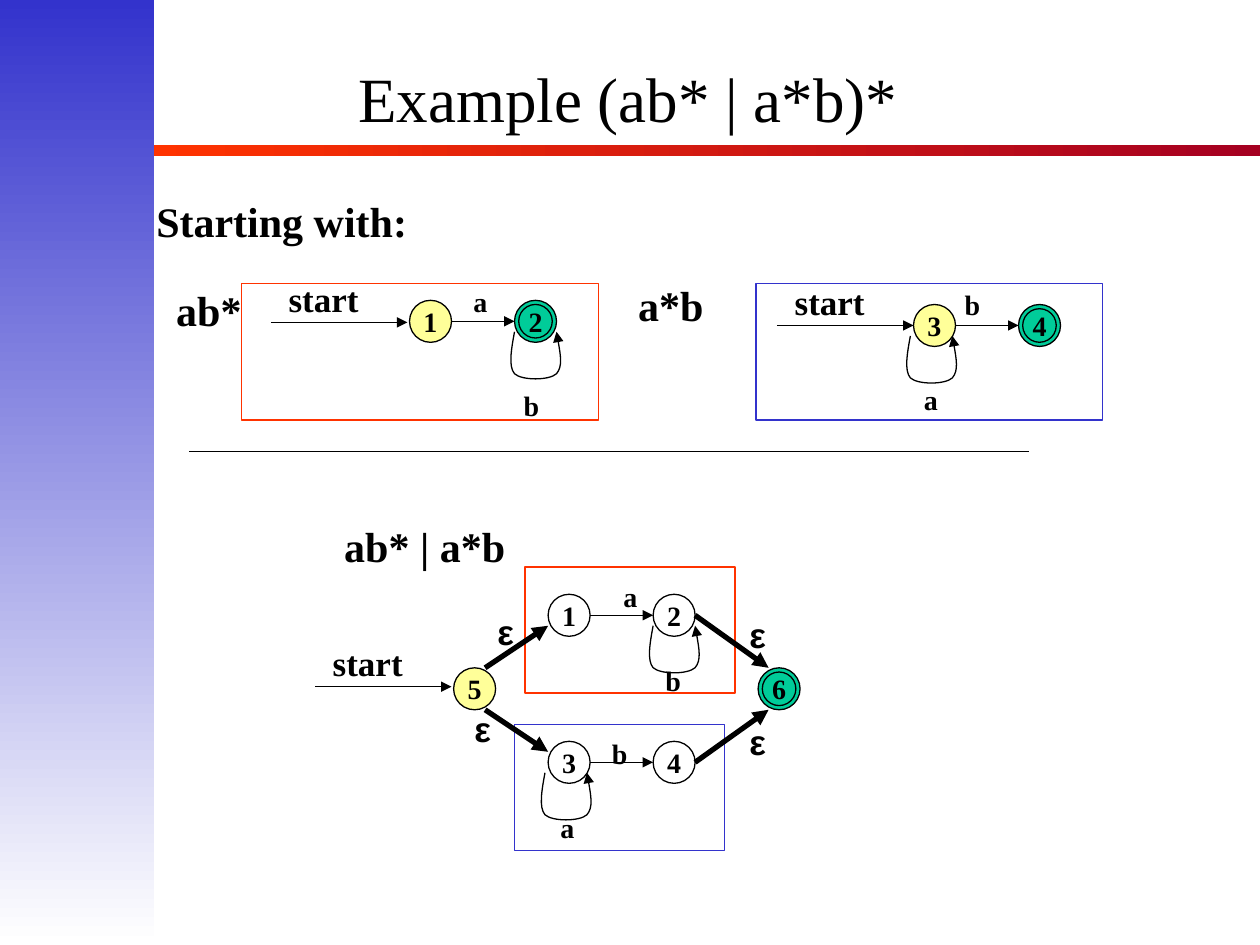
import pptx
import pptx.util
import pptx.dml.color
import pptx.enum.shapes
import pptx.enum.text
import pptx.oxml.ns
from lxml import etree

SHAPE = pptx.enum.shapes.MSO_SHAPE
ALIGN = pptx.enum.text.PP_ALIGN
ANCHOR = pptx.enum.text.MSO_ANCHOR
COLS, ROWS = 120, 90
NODE, STEP = 4, 10
RED, BLUE, YELLOW, GREEN = "FF3300", "3333CC", "FFFF99", "00CC99"
HEIGHTS = {24: 6, 20: 5.3, 16: 4.4}
LOOP = [(0, 0), (-0.3, 1.65), (-0.6, 3.3), (0, 4), (0.7, 4.65),
        (3.3, 4.65), (4, 4), (4.6, 3.3), (4.3, 1.65), (4, 0)]


def cells(*values):
    """Turn grid cells of a twelfth of an inch into lengths."""
    return [pptx.util.Inches(v / 12) for v in values]


def color(value):
    """Turn a hex string into a colour."""
    return pptx.dml.color.RGBColor.from_string(value)


def set_text(shape, text, size, bold=True, font="Times New Roman", align=ALIGN.LEFT):
    """Write one formatted paragraph and return it."""
    p = shape.text_frame.paragraphs[0]
    p.alignment = align
    r = p.add_run()
    r.text = text
    for name, value in {"size": pptx.util.Pt(size), "bold": bold, "name": font}.items():
        setattr(r.font, name, value)
    r.font.color.rgb = color("000000")
    return p


def set_line(shape, line="000000", width=0.75, arrow=False):
    """Format an outline, with an arrowhead at its end if wanted."""
    shape.line.color.rgb = color(line)
    shape.line.width = pptx.util.Pt(width)
    if arrow:
        ln = shape._element.spPr.find(pptx.oxml.ns.qn("a:ln"))
        etree.SubElement(ln, pptx.oxml.ns.qn("a:tailEnd"), type="triangle")


def add_outline(s, kind, box, line="000000", fill=None):
    """Draw a preset shape with a thin outline."""
    sp = s.shapes.add_shape(kind, *cells(*box))
    sp.shadow.inherit = False
    if fill:
        sp.fill.solid()
        sp.fill.fore_color.rgb = color(fill)
    else:
        sp.fill.background()
    set_line(sp, line)
    return sp


def add_gradient(s, box, first, last, angle):
    """Draw a rectangle that fades between two colours."""
    sp = s.shapes.add_shape(SHAPE.RECTANGLE, *cells(*box))
    sp.shadow.inherit = False
    sp.line.fill.background()
    sp.fill.gradient()
    sp.fill.gradient_angle = angle
    for stop, value in zip(sp.fill.gradient_stops, (first, last)):
        stop.color.rgb = color(value)


def add_label(s, x, y, text, size=16, width=3.8, font="Times New Roman"):
    """Place a bold label that does not wrap."""
    sp = s.shapes.add_textbox(*cells(x, y, width, HEIGHTS[size]))
    sp.text_frame.word_wrap = False
    sp.text_frame.auto_size = pptx.enum.text.MSO_AUTO_SIZE.SHAPE_TO_FIT_TEXT
    set_text(sp, text, size, font=font)


def add_edge(s, x1, y1, x2, y2, width=0.75, arrow=True):
    """Draw a straight line or arrow."""
    sp = s.shapes.add_connector(pptx.enum.shapes.MSO_CONNECTOR.STRAIGHT,
                                *cells(x1, y1, x2, y2))
    set_line(sp, width=width, arrow=arrow)
    etree.SubElement(sp._element.spPr, pptx.oxml.ns.qn("a:effectLst"))


def add_state(s, x, y, text, fill=None):
    """Draw a numbered state, ringed when it is accepting."""
    sp = add_outline(s, SHAPE.OVAL, (x, y, NODE, NODE), fill=fill)
    tf = sp.text_frame
    tf.word_wrap = False
    tf.vertical_anchor = ANCHOR.MIDDLE
    set_text(sp, text, 16, align=ALIGN.CENTER)
    if fill == GREEN:
        add_outline(s, SHAPE.OVAL, (x + 0.4, y + 0.4, NODE - 0.8, NODE - 0.8))


def add_loop(s, x, y):
    """Draw a curved arrow from a state back to itself."""
    points = [tuple(cells(x + dx, y + dy)) for dx, dy in LOOP]
    builder = s.shapes.build_freeform(*points[0])
    builder.add_line_segments(points[1:], close=False)
    sp = builder.convert_to_shape()
    segments = list(sp._element.iter(pptx.oxml.ns.qn("a:lnTo")))
    for i in range(0, len(segments), 3):
        curve = etree.SubElement(segments[i].getparent(), pptx.oxml.ns.qn("a:cubicBezTo"))
        for segment in segments[i:i + 3]:
            curve.append(segment[0])
            segment.getparent().remove(segment)
    sp.shadow.inherit = False
    sp.fill.background()
    set_line(sp, arrow=True)


def add_start(s, x, y):
    """Draw the labelled arrow into a start state."""
    add_edge(s, x, y, x + 13, y)
    add_label(s, x + 0.5, y - 4.9, "start", 20, 9.3)


def add_pair(s, x, y, names, loop_x, frame, line, fills=(None, None)):
    """Draw two linked states, one with a loop, inside a frame."""
    for i, (name, fill) in enumerate(zip(names, fills)):
        add_state(s, x + i * STEP, y, name, fill)
    add_edge(s, x + NODE, y + NODE / 2, x + STEP, y + NODE / 2)
    add_loop(s, x + loop_x, y + 3)
    add_outline(s, SHAPE.RECTANGLE, frame, line)


def add_title(s, text):
    """Fill and place the title placeholder."""
    sp = s.shapes.title
    sp.left, sp.top, sp.width, sp.height = cells(8.8, 2.4, 102, 15)
    sp.text_frame.vertical_anchor = ANCHOR.MIDDLE
    set_text(sp, text, 36, bold=False, align=ALIGN.CENTER).line_spacing = 0.8


def main():
    """Build the slide."""
    prs = pptx.Presentation()
    prs.slide_width, prs.slide_height = cells(COLS, ROWS)
    s = prs.slides.add_slide(prs.slide_layouts[5])
    add_gradient(s, (14.4, 13.8, 105.6, 1.1), RED, "A50021", 0)
    add_gradient(s, (0, 0, 14.65, ROWS), BLUE, "FFFFFF", 270)
    add_title(s, "Example (ab* | a*b)*")
    add_edge(s, 18, 43, 98, 43, arrow=False)

    add_pair(s, 39, 28.6, "12", STEP, (23, 27, 34, 13), RED, (YELLOW, GREEN))
    add_pair(s, 87, 29, "34", -0.3, (72, 27, 33, 13), BLUE, (YELLOW, GREEN))
    add_pair(s, 52.2, 56.6, "12", STEP, (50, 54, 20, 12), RED)
    add_pair(s, 52.2, 70.6, "34", -0.3, (49, 69, 20, 12), BLUE)
    add_state(s, 43.2, 63.6, "5", YELLOW)
    add_state(s, 72.2, 63.6, "6", GREEN)

    for x, y in [(25.8, 30.7), (74, 31), (30, 65.4)]:
        add_start(s, x, y)
    for edge in [(46.2, 63.6, 52.2, 59.6), (46.2, 67.6, 52.2, 71.6),
                 (66.2, 72.6, 73.2, 67.6), (66.2, 58.6, 73.2, 63.6)]:
        add_edge(s, *edge, width=3)

    for x, y, text, width in [(13.7, 18, "Starting with:", 27.2), (15.6, 26.5, "ab*", 8.6),
                              (59.6, 26, "a*b", 8.6), (31.6, 49, "ab* | a*b", 17.8)]:
        add_label(s, x, y, text, 24, width)
    for x, y, text in [(43.9, 26.5, "a"), (48.7, 36.4, "b"), (90.7, 26.8, "b"),
                       (86.8, 35.8, "a"), (58.2, 54.6, "a"), (62.2, 62.6, "b"),
                       (57.1, 69.6, "b"), (52.2, 76.6, "a")]:
        add_label(s, x, y, text)
    for x, y in [(46.2, 57.6), (44, 66.8), (70.2, 57.8), (70.2, 68)]:
        add_label(s, x, y, "ε", 20, font="Arial")
    prs.save("out.pptx")


if __name__ == "__main__":
    main()
